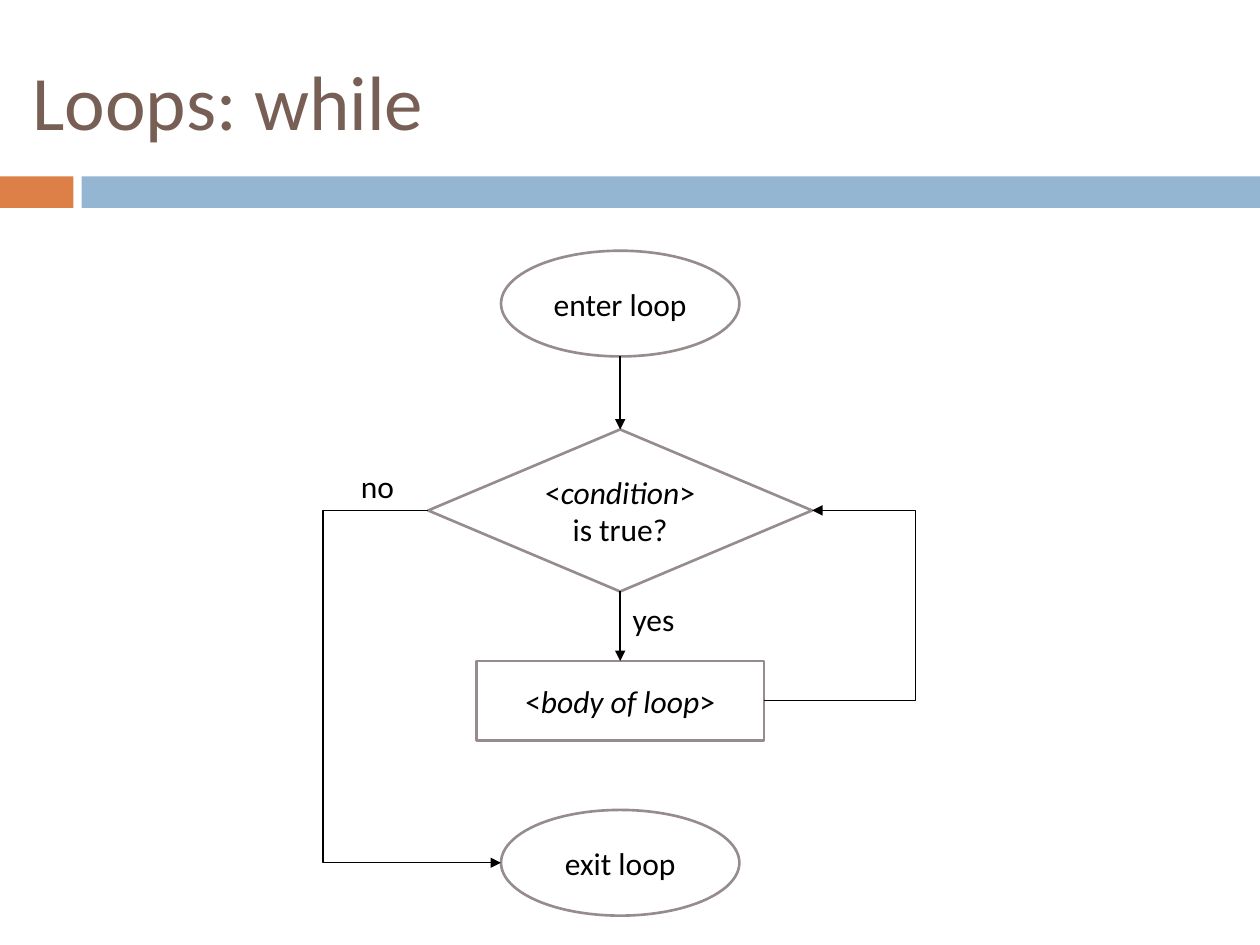
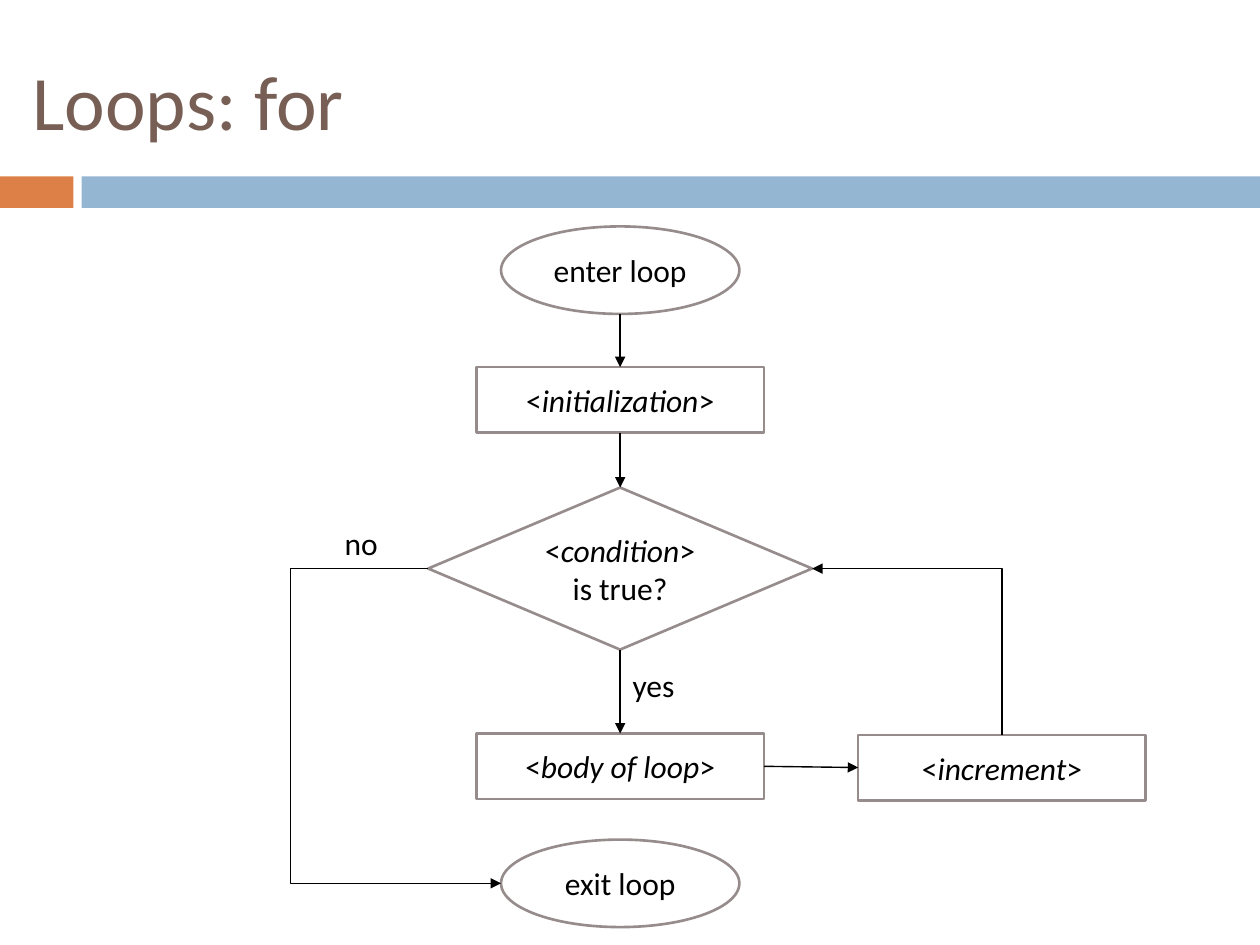
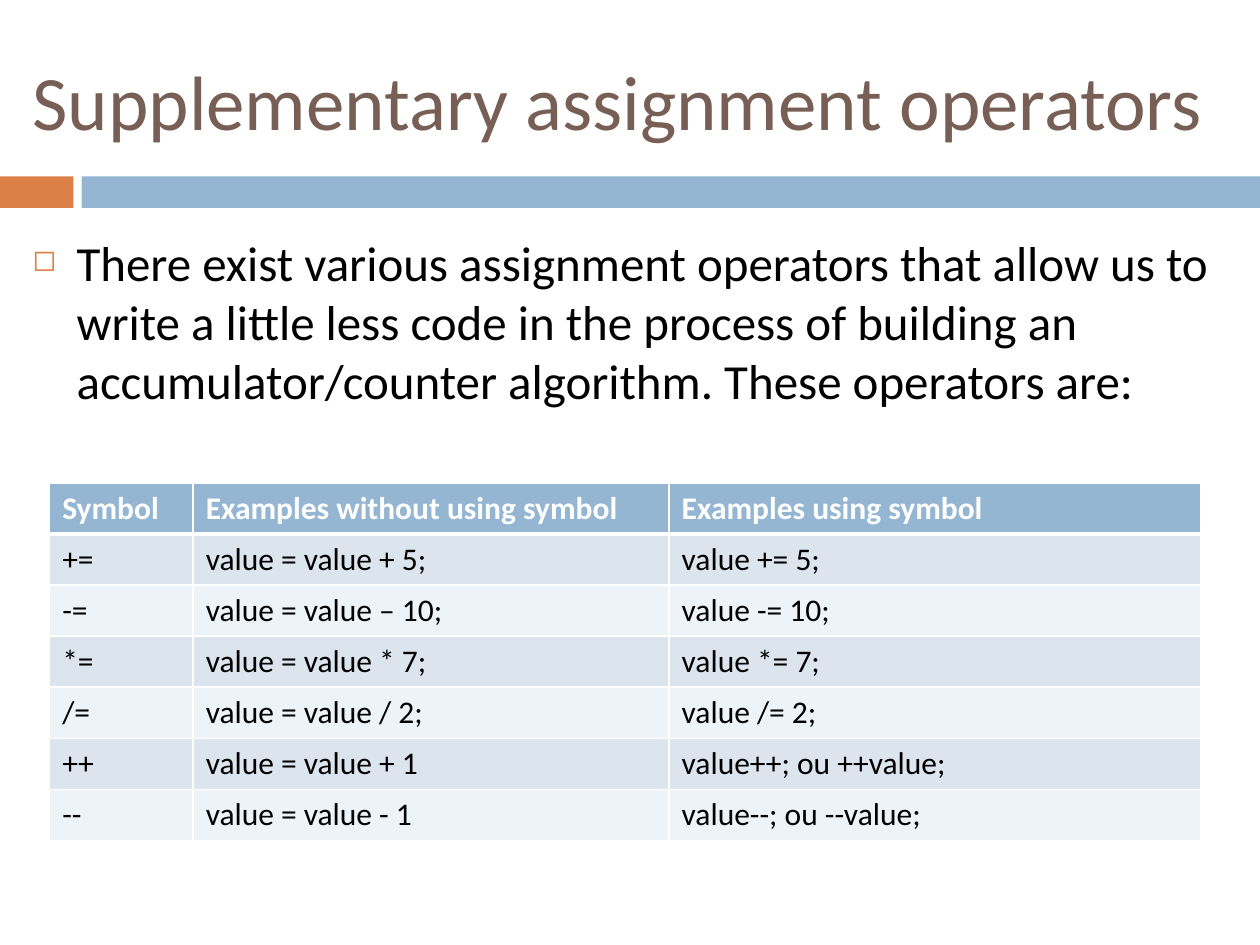
from lxml import etree
from pptx import Presentation
from pptx.dml.color import RGBColor
from pptx.enum.shapes import MSO_CONNECTOR, MSO_SHAPE
from pptx.enum.text import MSO_ANCHOR, PP_ALIGN
from pptx.oxml.ns import qn
from pptx.util import Pt

RECT = MSO_SHAPE.RECTANGLE
OVAL = MSO_SHAPE.OVAL
TEST = MSO_SHAPE.FLOWCHART_DECISION
LINE = MSO_CONNECTOR.STRAIGHT
ELBOW = MSO_CONNECTOR.ELBOW
MIDDLE = MSO_ANCHOR.MIDDLE
TOP = MSO_ANCHOR.TOP
LEFT = PP_ALIGN.LEFT
CENTER = PP_ALIGN.CENTER

FONT = "Calibri"
BLACK, WHITE, GREY = "000000", "FFFFFF", "968C8C"
BROWN, ORANGE, BLUE = "775F55", "DD8047", "94B6D2"
BANDS = ("DCE5EE", "EEF3F7")
AXIS = 354.4
WIDTHS = {OVAL: 136.2, TEST: 219.4, RECT: 164.4}
NORTH, WEST, SOUTH, EAST = range(4)

ENTER = ("enter loop",)
START = ("<", "initialization", ">")
CHECK = ("<", "condition", "> is true?")
BODY = ("<", "body of loop", ">")
STEP = ("<", "increment", ">")
LEAVE = ("exit loop",)

INTRO = (
    "There exist various assignment operators that allow us to write a little "
    "less code in the process of building an accumulator/counter algorithm. "
    "These operators are:"
)
ROWS = [
    ("Symbol", "Examples without using symbol", "Examples using symbol"),
    ("+=", "value = value + 5;", "value += 5;"),
    ("-=", "value = value – 10;", "value -= 10;"),
    ("*=", "value = value * 7;", "value *= 7;"),
    ("/=", "value = value / 2;", "value /= 2;"),
    ("++", "value = value + 1", "value++; ou ++value;"),
    ("--", "value = value - 1", "value--; ou --value;"),
]


def rgb(color):
    return RGBColor.from_string(color)


def child(parent, tag, **attrs):
    return etree.SubElement(parent, qn(tag), attrs)


def spot(shape, side):
    x = shape.left + shape.width * {WEST: 0, EAST: 1}.get(side, 0.5)
    y = shape.top + shape.height * {NORTH: 0, SOUTH: 1}.get(side, 0.5)
    return round(x), round(y)


class Deck:
    def __init__(self):
        self.show = Presentation()
        self.show.slide_width, self.show.slide_height = Pt(720), Pt(540)
        self.slide = None

    def page(self, title):
        self.slide = self.show.slides.add_slide(self.show.slide_layouts[6])
        self.shape(RECT, 0, 100.8, 42, 18, ORANGE)
        self.shape(RECT, 46.6, 100.8, 673.4, 18, BLUE)
        self.text(title, 11.5, 18, 708.5, 77.8, 44, BROWN, MIDDLE)

    def label(self, frame, parts, size, color=BLACK, align=LEFT, bold=False):
        para = frame.paragraphs[0]
        para.alignment = align
        for index, part in enumerate(parts):
            run = para.add_run()
            run.text = part
            font = run.font
            font.name, font.size = FONT, Pt(size)
            font.bold, font.italic = bold, index % 2 == 1
            font.color.rgb = rgb(color)
        return para

    def text(self, words, x, y, w, h, size=18, color=BLACK, anchor=TOP, wrap=True):
        box = self.slide.shapes.add_textbox(Pt(x), Pt(y), Pt(w), Pt(h))
        frame = box.text_frame
        frame.word_wrap, frame.vertical_anchor = wrap, anchor
        return self.label(frame, (words,), size, color)

    def bullet(self, words, x, y, w, h):
        para = self.text(words, x, y, w, h, 28)
        props = para._p.get_or_add_pPr()
        props.set("marL", str(Pt(25.2)))
        props.set("indent", str(-Pt(25.2)))
        child(child(props, "a:buClr"), "a:srgbClr", val=ORANGE)
        child(props, "a:buSzPct", val="60000")
        child(props, "a:buChar", char="◻")

    def shape(self, kind, x, y, w, h, fill):
        item = self.slide.shapes.add_shape(kind, Pt(x), Pt(y), Pt(w), Pt(h))
        item.shadow.inherit = False
        item.fill.solid()
        item.fill.fore_color.rgb = rgb(fill)
        item.line.fill.background()
        return item

    def node(self, kind, parts, y, h, mid=AXIS):
        w = WIDTHS[kind]
        item = self.shape(kind, mid - w / 2, y, w, h, WHITE)
        item.line.color.rgb = rgb(GREY)
        item.line.width = Pt(1.5)
        item.text_frame.word_wrap = True
        self.label(item.text_frame, parts, 18, align=CENTER)
        return item

    def arrow(self, kind, start, end, tip="a:tailEnd"):
        item = self.slide.shapes.add_connector(kind, *start, *end)
        item.line.color.rgb = rgb(BLACK)
        item.line.width = Pt(0.79)
        props = item._element.spPr
        child(props.find(qn("a:ln")), tip, type="triangle")
        child(props, "a:effectLst")
        return item

    def link(self, first, side, last, other):
        item = self.arrow(LINE, spot(first, side), spot(last, other))
        if first.auto_shape_type != OVAL:
            item.begin_connect(first, side)
        if last.auto_shape_type != OVAL:
            item.end_connect(last, other)

    def bend(self, start, end, via, tip="a:tailEnd"):
        item = self.arrow(ELBOW, start, end, tip)
        ratio = (via - start[0]) / (end[0] - start[0])
        guides = item._element.spPr.find(".//" + qn("a:avLst"))
        child(guides, "a:gd", name="adj1", fmla=f"val {round(ratio * 100000)}")

    def flow(self, steps, via, yes, no):
        nodes = [self.node(*step) for step in steps]
        *chain, leave = nodes
        for first, last in zip(chain, chain[1:]):
            self.link(first, SOUTH, last, NORTH)
        check, body = chain[-2:]
        self.bend(spot(check, WEST), spot(leave, WEST), Pt(via))
        self.text("yes", AXIS, yes, 39.6, 29, wrap=False)
        self.text("no", *no, 33.8, 29, wrap=False)
        return check, body

    def edge(self, cell, tag, width):
        props = cell._tc.get_or_add_tcPr()
        line = child(props, tag, w=str(Pt(width)))
        child(child(line, "a:solidFill"), "a:srgbClr", val=WHITE)

    def table(self, rows, x, y, widths, high):
        grid = self.slide.shapes.add_table(
            len(rows), len(widths), Pt(x), Pt(y), Pt(sum(widths)), Pt(high * len(rows))
        ).table
        for column, width in zip(grid.columns, widths):
            column.width = Pt(width)
        for r, row in enumerate(rows):
            grid.rows[r].height = Pt(high)
            head = r == 0
            for c, words in enumerate(row):
                cell = grid.cell(r, c)
                self.label(cell.text_frame, (words,), 18, WHITE if head else BLACK, bold=head)
                self.edge(cell, "a:lnL", 1)
                self.edge(cell, "a:lnR", 1)
                self.edge(cell, "a:lnT", 3 if r == 1 else 1)
                self.edge(cell, "a:lnB", 3 if head else 1)
                cell.fill.solid()
                cell.fill.fore_color.rgb = rgb(BLUE if head else BANDS[(r - 1) % 2])


def main():
    deck = Deck()

    deck.page("Loops: while")
    check, body = deck.flow(
        [
            (OVAL, ENTER, 143.3, 60.4),
            (TEST, CHECK, 245.4, 92.6),
            (RECT, BODY, 377.8, 45.4),
            (OVAL, LEAVE, 462.8, 60.4),
        ],
        184.6, 339.3, (199.2, 263.5),
    )
    deck.bend(spot(body, EAST), spot(check, EAST), Pt(523.2))

    deck.page("Loops: for")
    check, body = deck.flow(
        [
            (OVAL, ENTER, 129.4, 50),
            (RECT, START, 209.8, 37.4),
            (TEST, CHECK, 278.6, 92.6),
            (RECT, BODY, 419.2, 37.4),
            (OVAL, LEAVE, 479.8, 50),
        ],
        165.9, 377, (189.9, 296),
    )
    step = deck.node(RECT, STEP, 419.9, 37.4, 572.6)
    deck.link(body, EAST, step, WEST)
    peak = spot(step, NORTH)
    deck.bend(spot(check, EAST), peak, peak[0], "a:headEnd")

    deck.page("Supplementary assignment operators")
    deck.bullet(INTRO, 11.5, 129.6, 692, 371.5)
    deck.table(ROWS, 28.4, 275.9, (82, 272, 303.6), 29.2)

    deck.show.save("out.pptx")


if __name__ == "__main__":
    main()
